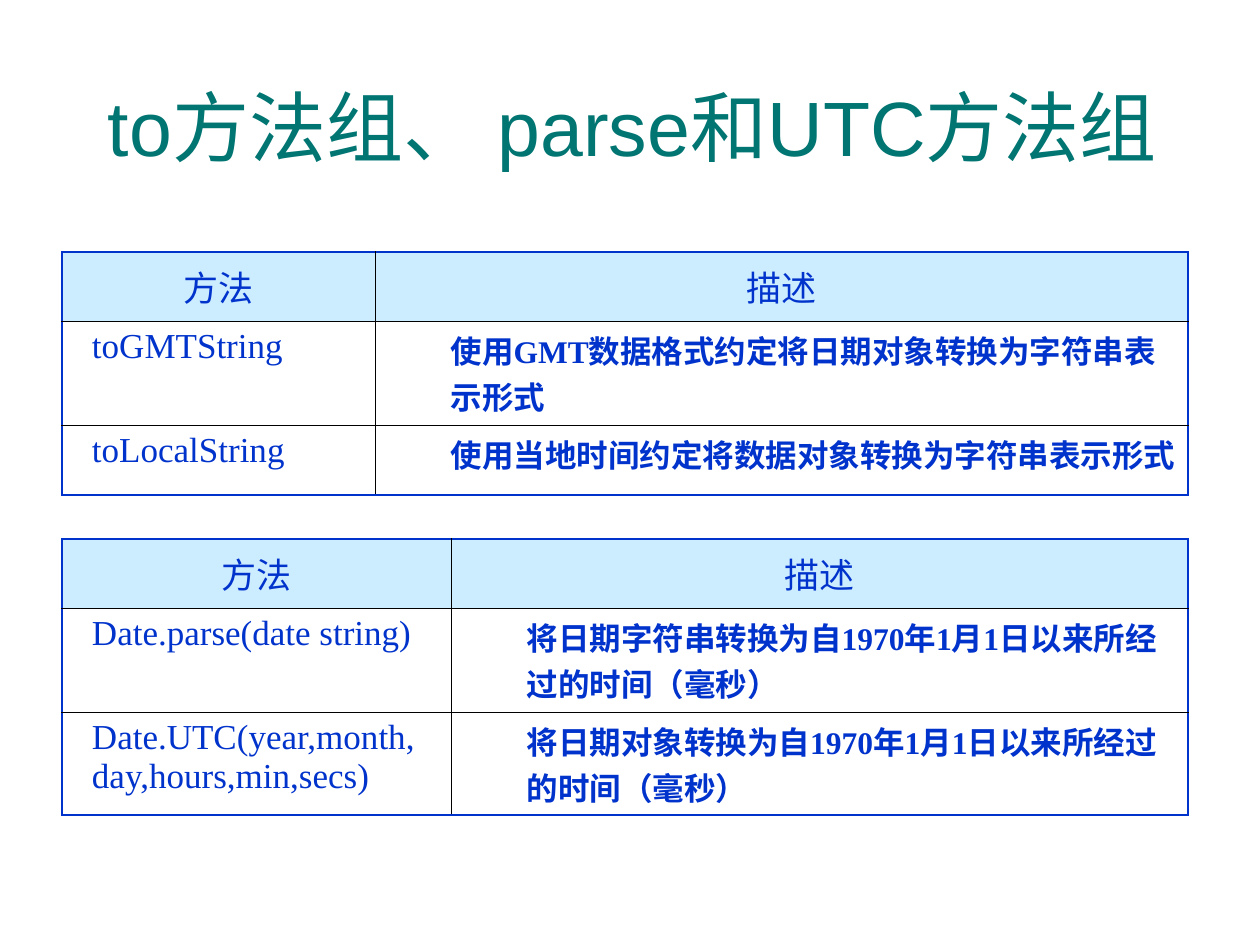
from pptx import Presentation
from pptx.dml.color import RGBColor
from pptx.enum.text import MSO_ANCHOR, PP_ALIGN
from pptx.oxml.ns import qn
from pptx.util import Emu, Pt
from lxml.etree import SubElement

TEAL = RGBColor(0x00, 0x75, 0x72)
BLUE = RGBColor(0x00, 0x33, 0xCC)
PALE_BLUE = RGBColor(0xCC, 0xEC, 0xFF)
BLACK = RGBColor(0x00, 0x00, 0x00)

HEADINGS = ("方法", "描述")
CONVERSION_METHODS = [
    HEADINGS,
    ("toGMTString", "使用GMT数据格式约定将日期对象转换为字符串表示形式"),
    ("toLocalString", "使用当地时间约定将数据对象转换为字符串表示形式"),
]
DATE_METHODS = [
    HEADINGS,
    ("Date.parse(date string)", "将日期字符串转换为自1970年1月1日以来所经过的时间（毫秒）"),
    ("Date.UTC(year,month,\nday,hours,min,secs)", "将日期对象转换为自1970年1月1日以来所经过的时间（毫秒）"),
]


def px(length):
    return Emu(round(length * 914400 / 126))


def set_font(para, name, size, color, bold=False):
    para.font.name = name
    para.font.size = Pt(size)
    para.font.color.rgb = color
    para.font.bold = bold


def add_title(page, text):
    box = page.shapes.add_textbox(px(44), px(47), px(1177), px(157))
    frame = box.text_frame
    frame.word_wrap = True
    frame.vertical_anchor = MSO_ANCHOR.MIDDLE
    frame.text = text
    para = frame.paragraphs[0]
    para.alignment = PP_ALIGN.CENTER
    set_font(para, "Arial", 44, TEAL)


def set_borders(cell, outer_sides):
    properties = cell._tc.get_or_add_tcPr()
    for index, side in enumerate(("lnL", "lnR", "lnT", "lnB")):
        outer = side in outer_sides
        line = SubElement(properties, qn(f"a:{side}"), w=str(Pt(1.08 if outer else 0.45)))
        fill = SubElement(line, qn("a:solidFill"))
        SubElement(fill, qn("a:srgbClr"), val=str(BLUE if outer else BLACK))
        properties.insert(index, line)


def fill_cell(cell, text, is_heading, is_description):
    cell.text = text
    if is_heading:
        cell.fill.solid()
        cell.fill.fore_color.rgb = PALE_BLUE
        cell.vertical_anchor = MSO_ANCHOR.MIDDLE
    else:
        cell.fill.background()
        if not is_description:
            cell.margin_left = px(30)
    bold = is_description and not is_heading
    for para in cell.text_frame.paragraphs:
        if is_heading:
            para.alignment = PP_ALIGN.CENTER
        elif is_description:
            properties = para._p.get_or_add_pPr()
            properties.set("marL", str(px(63)))
            properties.set("indent", "0")
        set_font(para, "Times New Roman", 18 if bold else 20, BLUE, bold)


def add_method_table(page, top, column_widths, row_heights, rows):
    frame = page.shapes.add_table(len(rows), len(column_widths), px(62), px(top),
                                  px(sum(column_widths)), px(sum(row_heights)))
    table = frame.table
    table.first_row = False
    table.horz_banding = False
    for column, width in zip(table.columns, column_widths):
        column.width = px(width)
    for row, height in zip(table.rows, row_heights):
        row.height = px(height)
    for row_index, texts in enumerate(rows):
        for column_index, text in enumerate(texts):
            cell = table.cell(row_index, column_index)
            fill_cell(cell, text, row_index == 0, column_index == 1)
            outer_sides = {"lnR" if column_index else "lnL"}
            if row_index == 0:
                outer_sides.add("lnT")
            if row_index == len(rows) - 1:
                outer_sides.add("lnB")
            set_borders(cell, outer_sides)


def main():
    deck = Presentation()
    deck.slide_width = px(1260)
    deck.slide_height = px(945)
    page = deck.slides.add_slide(deck.slide_layouts[6])
    add_title(page, "to方法组、 parse和UTC方法组")
    add_method_table(page, 252, (313, 813), (69, 104, 70), CONVERSION_METHODS)
    add_method_table(page, 539, (389, 737), (69, 104, 103), DATE_METHODS)
    deck.save("out.pptx")


if __name__ == "__main__":
    main()
